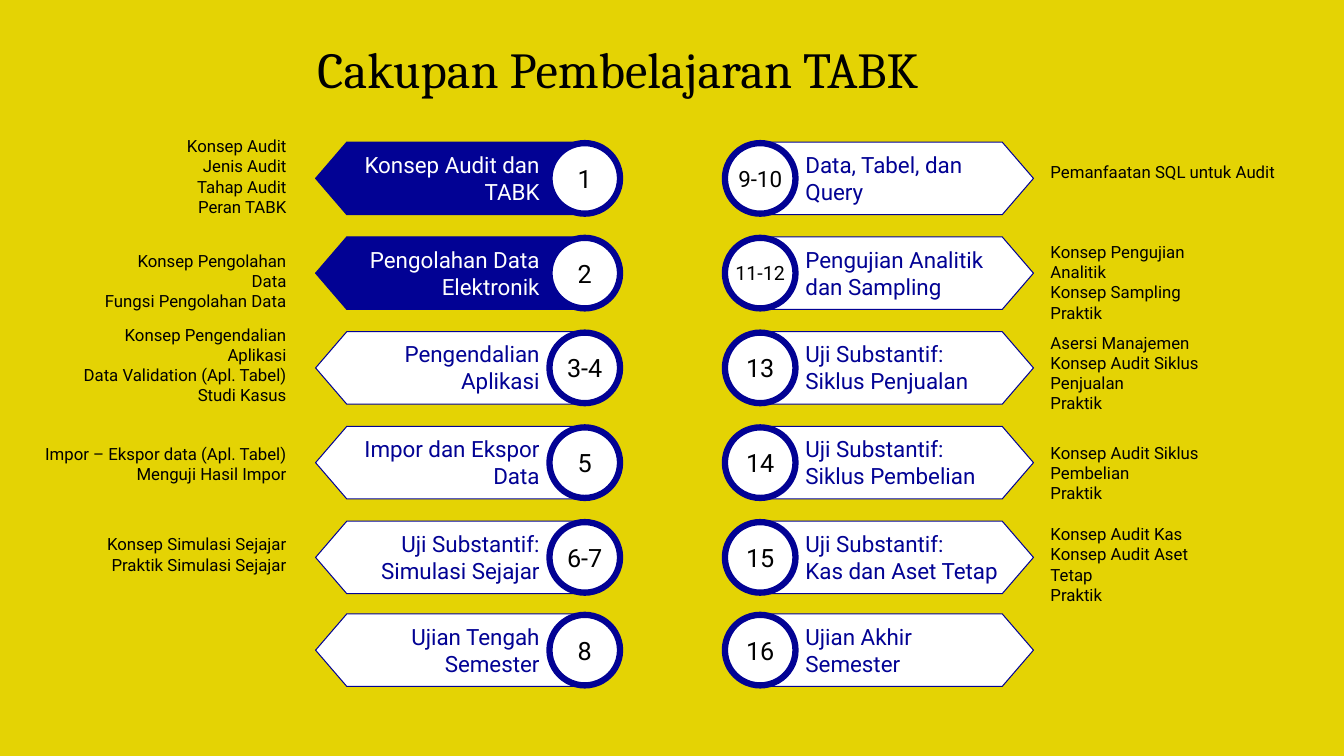
from pptx import Presentation
from pptx.dml.color import RGBColor
from pptx.enum.shapes import MSO_SHAPE
from pptx.enum.text import MSO_ANCHOR, PP_ALIGN
from pptx.util import Inches, Pt

COLORS = {"yellow": "E4D304", "navy": "020294", "white": "FFFFFF", "black": "000000"}
ROW_TOPS = [1.41, 2.35, 3.29, 4.23, 5.17, 6.09]
ARROW_W, ARROW_H, CIRCLE = 3.01, 0.72, 0.7
LABEL_W = 2.19

LEFT = [
    ("1", 18, True, ["Konsep Audit dan TABK"],
     ["Konsep Audit", "Jenis Audit", "Tahap Audit", "Peran TABK"], 1.3, 1.3),
    ("2", 18, True, ["Pengolahan Data Elektronik"],
     ["Konsep Pengolahan Data", "Fungsi Pengolahan Data"], 2.44, 2.06),
    ("3-4", 18, False, ["Pengendalian Aplikasi"],
     ["Konsep Pengendalian Aplikasi", "Data Validation (Apl. Tabel)", "Studi Kasus"], 3.17, 2.41),
    ("5", 18, False, ["Impor dan Ekspor Data"],
     ["Impor – Ekspor data (Apl. Tabel)", "Menguji Hasil Impor"], 4.35, 2.89),
    ("6-7", 18, False, ["Uji Substantif:", "Simulasi Sejajar"],
     ["Konsep Simulasi Sejajar", "Praktik Simulasi Sejajar"], 5.25, 2.89),
    ("8", 18, False, ["Ujian Tengah Semester"], [], 0, 0),
]
RIGHT = [
    ("9-10", 16, False, ["Data, Tabel, dan Query"],
     ["Pemanfaatan SQL untuk Audit"], 1.56, 2.5),
    ("11-12", 14, False, ["Pengujian Analitik dan Sampling"],
     ["Konsep Pengujian Analitik", "Konsep Sampling", "Praktik"], 2.35, 2.12),
    ("13", 18, False, ["Uji Substantif:", "Siklus Penjualan"],
     ["Asersi Manajemen", "Konsep Audit Siklus Penjualan", "Praktik"], 3.25, 2.42),
    ("14", 18, False, ["Uji Substantif:", "Siklus Pembelian"],
     ["Konsep Audit Siklus Pembelian", "Praktik"], 4.34, 2.48),
    ("15", 18, False, ["Uji Substantif:", "Kas dan Aset Tetap"],
     ["Konsep Audit Kas", "Konsep Audit Aset Tetap", "Praktik"], 5.15, 2.01),
    ("16", 18, False, ["Ujian Akhir Semester"], [], 0, 0),
]


def rgb(name):
    """Return a named colour."""
    return RGBColor.from_string(COLORS[name])


def write(tf, lines, size, color, align, font="Roboto"):
    """Write one paragraph per line into a text frame."""
    for i, line in enumerate(lines):
        p = tf.add_paragraph() if i else tf.paragraphs[0]
        p.alignment = align
        r = p.add_run()
        r.text = line
        r.font.name = font
        r.font.size = Pt(size)
        r.font.color.rgb = rgb(color)


def add_text(s, box, lines, size, color, align, font="Roboto"):
    """Add a wrapping text box and return its text frame."""
    sp = s.shapes.add_textbox(*map(Inches, box))
    sp.text_frame.word_wrap = True
    write(sp.text_frame, lines, size, color, align, font)
    return sp.text_frame


def add_outlined(s, kind, box, fill, weight):
    """Add a preset shape with a navy outline."""
    sp = s.shapes.add_shape(kind, *map(Inches, box))
    sp.shadow.inherit = False
    sp.fill.solid()
    sp.fill.fore_color.rgb = rgb(fill)
    sp.line.color.rgb = rgb("navy")
    sp.line.width = Pt(weight)
    return sp


def add_meeting(s, x, y, meeting, on_left):
    """Place an arrow, its number, its label and its topics from the arrow's corner."""
    number, size, filled, label, topics, topic_y, topic_w = meeting
    align = PP_ALIGN.RIGHT if on_left else PP_ALIGN.LEFT
    arrow = add_outlined(s, MSO_SHAPE.HEXAGON, (x, y, ARROW_W, ARROW_H),
                         "navy" if filled else "white", 0.75)
    arrow.adjustments[0] = 0.43

    circle_x = x + 2.32 if on_left else x - 0.05
    circle = add_outlined(s, MSO_SHAPE.OVAL, (circle_x, y + 0.01, CIRCLE, CIRCLE), "white", 4.5)
    tf = circle.text_frame
    tf.margin_left = tf.margin_right = tf.margin_top = tf.margin_bottom = 0
    tf.word_wrap = False
    tf.vertical_anchor = MSO_ANCHOR.MIDDLE
    write(tf, [number], size, "black", PP_ALIGN.CENTER)

    label_x = circle_x - LABEL_W if on_left else circle_x + CIRCLE
    add_text(s, (label_x, y + 0.04, LABEL_W, 0.64), label, 16,
             "white" if filled else "navy", align)

    if topics:
        topic_x = x - 0.19 - topic_w if on_left else x + ARROW_W + 0.07
        height = 0.3 + 0.2 * (len(topics) - 1)
        tf = add_text(s, (topic_x, topic_y, topic_w, height), topics, 12, "black", align)
        if on_left:
            tf.margin_left = Inches(0.14)
        else:
            tf.margin_right = Inches(0.14)


def add_column(s, x, meetings, on_left):
    """Stack the meetings of one half of the semester."""
    for y, meeting in zip(ROW_TOPS, meetings):
        add_meeting(s, x, y, meeting, on_left)


def main():
    """Build the slide and save it."""
    prs = Presentation()
    prs.slide_width, prs.slide_height = Inches(13.33), Inches(7.5)
    s = prs.slides.add_slide(prs.slide_layouts[6])
    s.background.fill.solid()
    s.background.fill.fore_color.rgb = rgb("yellow")
    add_text(s, (3.05, 0.33, 7.2, 0.71), ["Cakupan Pembelajaran TABK"], 36, "black",
             PP_ALIGN.LEFT, "Cambria")
    add_column(s, 3.13, LEFT, True)
    add_column(s, 7.24, RIGHT, False)
    prs.save("out.pptx")


if __name__ == "__main__":
    main()
